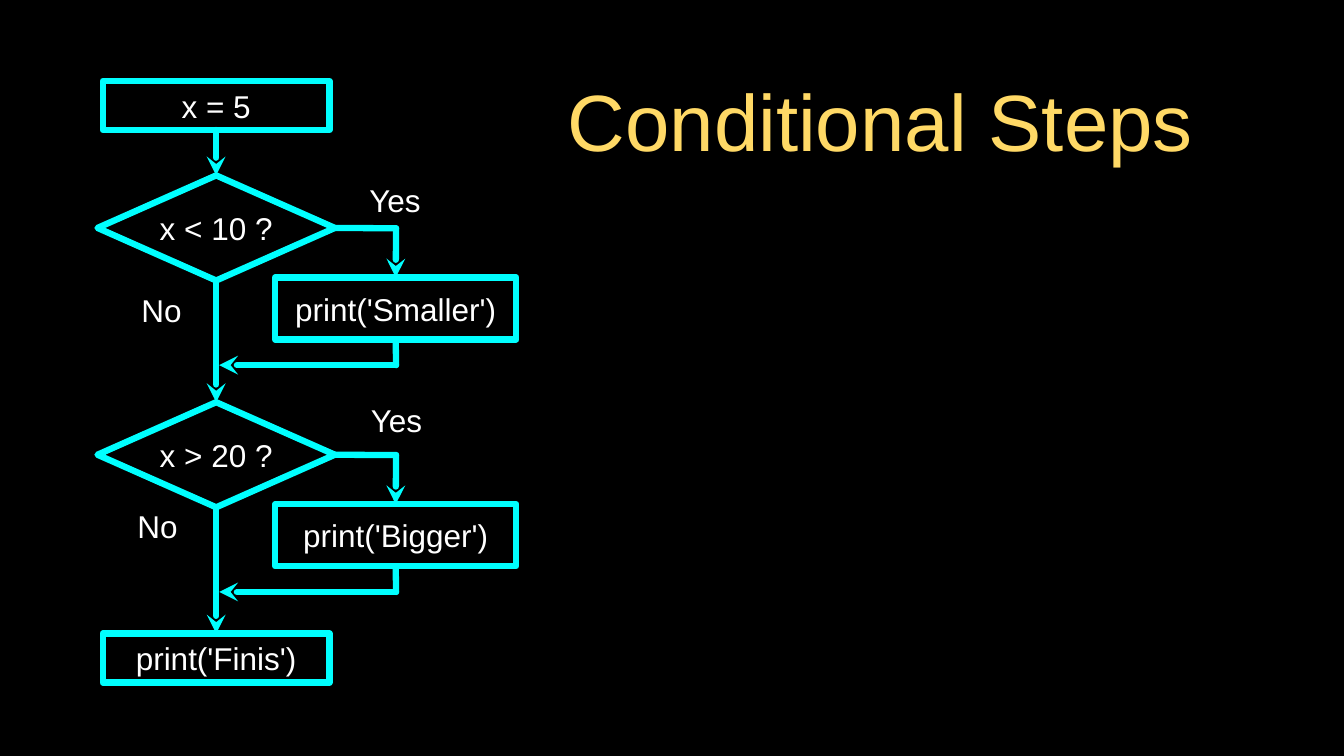
from lxml.etree import SubElement
from pptx import Presentation
from pptx.dml.color import RGBColor
from pptx.enum.shapes import MSO_CONNECTOR, MSO_SHAPE
from pptx.enum.text import MSO_ANCHOR, PP_ALIGN
from pptx.oxml.ns import qn
from pptx.util import Inches, Pt

COLORS = {"background": "000000", "title": "FFD966", "text": "FFFFFF", "line": "00FFFF"}
CENTER = 2.86
BRANCH = 5.24
STEP = 3

deck = Presentation()
deck.slide_width = Inches(17.78)
deck.slide_height = Inches(10)
page = deck.slides.add_slide(deck.slide_layouts[6])
page.background.fill.solid()
page.background.fill.fore_color.rgb = RGBColor.from_string(COLORS["background"])


def add_box(text, left, top, width, height, shape=None, size=30, color="text", inset=0):
    area = [Inches(value) for value in (left, top, width, height)]
    if shape is None:
        box = page.shapes.add_textbox(*area)
    else:
        box = page.shapes.add_shape(shape, *area)
        box.shadow.inherit = False
        box.fill.background()
        box.line.color.rgb = RGBColor.from_string(COLORS["line"])
        box.line.width = Pt(6)
    frame = box.text_frame
    frame.word_wrap = True
    frame.vertical_anchor = MSO_ANCHOR.MIDDLE
    frame.margin_left = frame.margin_right = Inches(inset)
    frame.margin_top = frame.margin_bottom = Inches(inset)
    frame.text = text
    para = frame.paragraphs[0]
    para.alignment = PP_ALIGN.CENTER
    span = para.runs[0]
    span.font.name = "Arial"
    span.font.size = Pt(size)
    span.font.color.rgb = RGBColor.from_string(COLORS[color])
    return box


def add_flow(start, end, source=None, target=None, arrow=False):
    flow = page.shapes.add_connector(
        MSO_CONNECTOR.STRAIGHT, *[Inches(value) for value in start + end])
    if source:
        flow.begin_connect(*source)
    if target:
        flow.end_connect(*target)
    flow.line.color.rgb = RGBColor.from_string(COLORS["line"])
    flow.line.width = Pt(6)
    outline = flow.line._get_or_add_ln()
    outline.set("cap", "rnd")
    SubElement(outline, qn("a:round"))
    if arrow:
        SubElement(outline, qn("a:tailEnd"), type="stealth")
    SubElement(flow._element.spPr, qn("a:effectLst"))


add_box("Conditional Steps", 6.4, 0.84, 10.49, 1.49, size=76, color="title", inset=0.04)

previous = add_box("x = 5", 1.36, 1.07, 3, 0.65, MSO_SHAPE.RECTANGLE)
previous_bottom = 1.72
steps = [("x < 10 ?", "print('Smaller')"), ("x > 20 ?", "print('Bigger')")]
for index, (question, action) in enumerate(steps):
    top = 2.32 + index * STEP
    turn = top + 0.7
    merge = top + 2.51
    decision = add_box(question, 1.29, top, 3.14, 1.39, MSO_SHAPE.DIAMOND)
    result = add_box(action, 3.64, top + 1.35, 3.19, 0.82, MSO_SHAPE.RECTANGLE)
    add_flow((CENTER, previous_bottom), (CENTER, top), (previous, 2), (decision, 0), arrow=True)
    add_flow((4.43, turn), (BRANCH, turn), source=(decision, 3))
    add_flow((BRANCH, turn), (BRANCH, top + 1.35), target=(result, 0), arrow=True)
    add_flow((BRANCH, top + 2.17), (BRANCH, merge), source=(result, 2))
    add_flow((BRANCH, merge), (2.9, merge), arrow=True)
    previous, previous_bottom = decision, top + 1.39

finish = add_box("print('Finis')", 1.36, 8.38, 3, 0.65, MSO_SHAPE.RECTANGLE)
add_flow((CENTER, previous_bottom), (CENTER, 8.38), (previous, 2), (finish, 0), arrow=True)

labels = [
    ("Yes", 4.83, 2.31, 0.68),
    ("No", 1.74, 3.71, 0.77),
    ("Yes", 4.85, 5.21, 0.68),
    ("No", 1.69, 6.67, 0.58),
]
for text, left, top, height in labels:
    add_box(text, left, top, 0.79, height)

deck.save("out.pptx")
